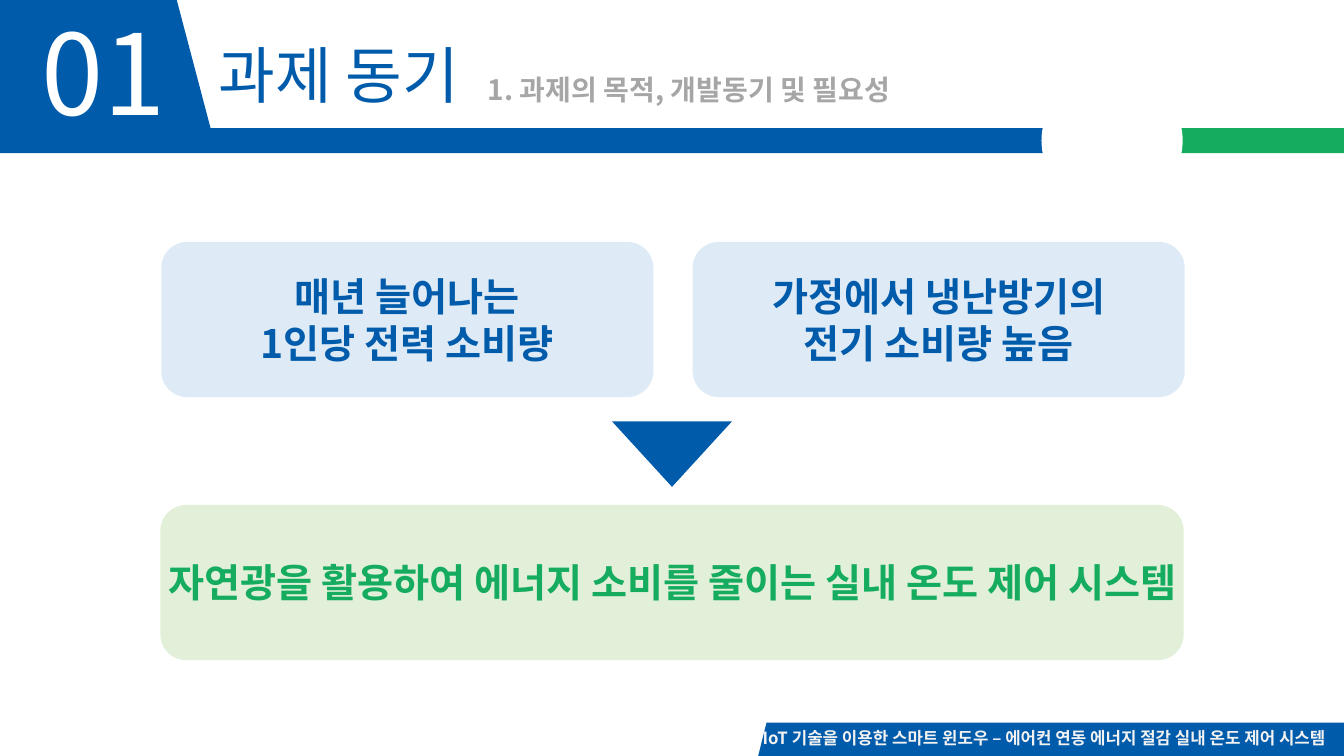
import pptx
import pptx.dml.color
import pptx.enum.shapes
import pptx.enum.text
import pptx.oxml
import pptx.oxml.ns
import pptx.util

Inches = pptx.util.Inches
SHAPE = pptx.enum.shapes.MSO_SHAPE
ALIGN = pptx.enum.text.PP_ALIGN

FONT = "Noto Sans CJK KR"
COLORS = {
    "blue": "005BAB",
    "green": "16AC5F",
    "pale_blue": "DEEBF7",
    "pale_green": "E2F0D9",
    "gray": "A6A6A6",
    "light": "F2F2F2",
    "white": "FFFFFF",
}
TITLE = "과제 동기"
NUMBER = "01"
SUBTITLE = "1. 과제의 목적, 개발동기 및 필요성"
CAUSES = [
    ["매년 늘어나는", "1인당 전력 소비량"],
    ["가정에서 냉난방기의", "전기 소비량 높음"],
]
RESULT = "자연광을 활용하여 에너지 소비를 줄이는 실내 온도 제어 시스템"
FOOTER = "IoT 기술을 이용한 스마트 윈도우 – 에어컨 연동 에너지 절감 실내 온도 제어 시스템"

SLIDE_WIDTH = 13.33
BAR_TOP, BAR_HEIGHT, BAR_SPLIT = 1.27, 0.25, 10.58
CARD_LEFT, CARD_TOP, CARD_WIDTH, CARD_HEIGHT = 1.6, 2.4, 4.88, 1.54
CARD_STEP = 5.27
LABEL_OVERHANG = 0.19


def rgb(color):
    return pptx.dml.color.RGBColor.from_string(COLORS[color])


def add_block(slide, preset, place, color):
    block = slide.shapes.add_shape(preset, *map(Inches, place))
    block.shadow.inherit = False
    block.fill.solid()
    block.fill.fore_color.rgb = rgb(color)
    block.line.fill.background()
    return block


def write(box, lines, size, color, bold=False, align=ALIGN.LEFT):
    frame = box.text_frame
    frame.word_wrap = True
    frame.auto_size = pptx.enum.text.MSO_AUTO_SIZE.NONE
    frame.vertical_anchor = pptx.enum.text.MSO_ANCHOR.TOP
    frame.text = "\n".join(lines)
    for para in frame.paragraphs:
        para.alignment = align
        font = para.font
        font.size = pptx.util.Pt(size)
        font.bold = bold
        font.color.rgb = rgb(color)
        font.name = FONT
        east_asian = pptx.oxml.parse_xml(
            f'<a:ea {pptx.oxml.ns.nsdecls("a")} typeface="{FONT}"/>'
        )
        para._p.pPr.find(pptx.oxml.ns.qn("a:defRPr")).append(east_asian)


def add_text(slide, place, lines, size, color, bold=True, align=ALIGN.CENTER):
    box = slide.shapes.add_textbox(*map(Inches, place))
    write(box, lines, size, color, bold, align)


def add_header(slide):
    add_block(slide, SHAPE.RECTANGLE, (0, BAR_TOP, BAR_SPLIT, BAR_HEIGHT), "blue")
    green_width = SLIDE_WIDTH - BAR_SPLIT
    add_block(slide, SHAPE.RECTANGLE, (BAR_SPLIT, BAR_TOP, green_width, BAR_HEIGHT), "green")
    add_block(slide, SHAPE.OVAL, (10.33, 0.71, 1.4, 1.37), "white")

    title = slide.shapes.title
    title.left, title.top, title.width, title.height = map(Inches, (2.07, 0.32, 2.67, 0.84))
    write(title, [TITLE], 44, "blue")
    for para in title.text_frame.paragraphs:
        para.line_spacing = 1.0

    tab = add_block(slide, SHAPE.PARALLELOGRAM, (-0.39, -0.09, 2.5, 1.44), "blue")
    tab.adjustments[0] = 0.264
    tab._element.spPr.xfrm.set("flipH", "1")
    add_text(slide, (0.11, -0.01, 1.84, 1.45), [NUMBER], 80, "white", bold=False)
    add_text(slide, (4.74, 0.67, 4.67, 0.44), [SUBTITLE], 20, "gray", align=ALIGN.LEFT)


def add_body(slide):
    for index, lines in enumerate(CAUSES):
        left = CARD_LEFT + index * CARD_STEP
        add_block(slide, SHAPE.ROUNDED_RECTANGLE, (left, CARD_TOP, CARD_WIDTH, CARD_HEIGHT), "pale_blue")
        label = (left - LABEL_OVERHANG, 2.65, CARD_WIDTH + 2 * LABEL_OVERHANG, 1.04)
        add_text(slide, label, lines, 28, "blue")

    arrow = add_block(slide, SHAPE.ISOSCELES_TRIANGLE, (6.07, 4.18, 1.19, 0.65), "blue")
    arrow.rotation = 180

    result_width = CARD_STEP + CARD_WIDTH
    add_block(slide, SHAPE.ROUNDED_RECTANGLE, (1.59, 5.01, result_width, CARD_HEIGHT), "pale_green")
    add_text(slide, (1.55, 5.49, 10.24, 0.57), [RESULT], 28, "green")


def add_footer(slide):
    add_block(slide, SHAPE.PARALLELOGRAM, (7.49, 7.17, 6.07, 0.45), "blue")
    add_text(slide, (6.67, 7.17, 6.58, 0.3), [FOOTER], 12, "light", align=ALIGN.RIGHT)


def main():
    deck = pptx.Presentation()
    deck.slide_width = Inches(SLIDE_WIDTH)
    deck.slide_height = Inches(7.5)
    slide = deck.slides.add_slide(deck.slide_layouts[5])
    add_header(slide)
    add_body(slide)
    add_footer(slide)
    deck.save("out.pptx")


if __name__ == "__main__":
    main()
